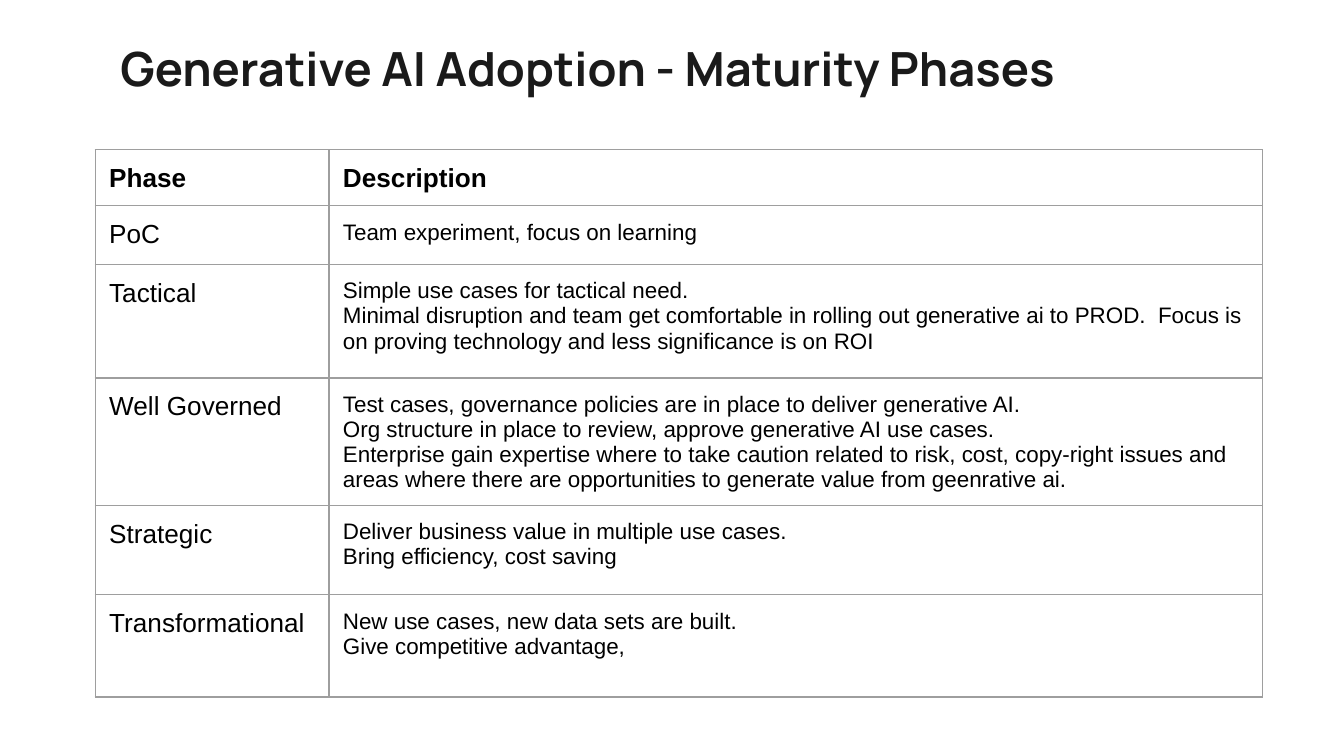
from lxml.etree import SubElement
from pptx import Presentation
from pptx.dml.color import RGBColor
from pptx.enum.text import MSO_ANCHOR, MSO_AUTO_SIZE, PP_ALIGN
from pptx.oxml.ns import qn
from pptx.util import Emu, Pt

EMU_PER_PX = 9525  # 96 px to the inch
INSET = 10
CELL_BOTTOM_INSET = 5  # keeps full rows at their set height
BLACK = "000000"
BORDER_COLOR = "9E9E9E"

TABLE_LEFT, TABLE_TOP = 68, 107
COLUMN_WIDTHS = [167, 667]
ROW_HEIGHTS = [40, 42, 81, 91, 64, 73]
HEADER = ("Phase", "Description")
PHASES = [
    ("PoC", ["Team experiment, focus on learning"]),
    ("Tactical", [
        "Simple use cases for tactical need.",
        "Minimal disruption and team get comfortable in rolling out generative ai to PROD.  "
        "Focus is on proving technology and less significance is on ROI",
    ]),
    ("Well Governed", [
        "Test cases, governance policies are in place to deliver generative AI.",
        "Org structure in place to review, approve generative AI use cases.",
        "Enterprise gain expertise where to take caution related to risk, cost, copy-right "
        "issues and areas where there are opportunities to generate value from geenrative ai.",
    ]),
    ("Strategic", [
        "Deliver business value in multiple use cases.",
        "Bring efficiency, cost saving",
    ]),
    ("Transformational", [
        "New use cases, new data sets are built.",
        "Give competitive advantage,",
    ]),
]


def px(length):
    return Emu(length * EMU_PER_PX)


def rgb(color):
    return RGBColor.from_string(color)


def write(para, text, size=12, font="Arial", color=BLACK, bold=False):
    """Add one formatted run to a paragraph."""
    span = para.add_run()
    span.text = text
    span.font.size = Pt(size)
    span.font.name = font
    span.font.color.rgb = rgb(color)
    span.font.bold = bold


def set_insets(target, bottom=INSET):
    """Set the margins of a text frame or a table cell."""
    target.margin_left = target.margin_right = target.margin_top = px(INSET)
    target.margin_bottom = px(bottom)


def add_title(page, text):
    title = page.shapes.title
    title.left, title.top, title.width, title.height = map(px, (76, 18, 807, 56))
    frame = title.text_frame
    set_insets(frame)
    frame.word_wrap = True
    frame.auto_size = MSO_AUTO_SIZE.NONE
    frame.vertical_anchor = MSO_ANCHOR.TOP
    para = frame.paragraphs[0]
    para.alignment = PP_ALIGN.LEFT
    para.line_spacing = 1.0
    write(para, text, size=25.2, font="Manrope", color="1A1A1A", bold=True)


def set_borders(cell, color, width):
    properties = cell._tc.get_or_add_tcPr()
    for side in ("lnL", "lnR", "lnT", "lnB"):
        line = SubElement(properties, qn(f"a:{side}"), w=str(Pt(width)))
        fill = SubElement(line, qn("a:solidFill"))
        SubElement(fill, qn("a:srgbClr"), val=color)


def fill_cell(cell, lines, **text_format):
    set_insets(cell, bottom=CELL_BOTTOM_INSET)
    cell.vertical_anchor = MSO_ANCHOR.TOP
    set_borders(cell, BORDER_COLOR, 0.75)
    cell.fill.background()
    frame = cell.text_frame
    for index, text in enumerate(lines):
        para = frame.add_paragraph() if index else frame.paragraphs[0]
        write(para, text, **text_format)


def add_phase_table(page):
    table = page.shapes.add_table(
        len(ROW_HEIGHTS), len(COLUMN_WIDTHS), px(TABLE_LEFT), px(TABLE_TOP),
        px(sum(COLUMN_WIDTHS)), px(sum(ROW_HEIGHTS))).table
    table.first_row = table.horz_banding = False
    for column, width in zip(table.columns, COLUMN_WIDTHS):
        column.width = px(width)
    for row, height in zip(table.rows, ROW_HEIGHTS):
        row.height = px(height)
    for column, heading in enumerate(HEADER):
        fill_cell(table.cell(0, column), [heading], size=14, bold=True)
    for row, (phase, description) in enumerate(PHASES, start=1):
        fill_cell(table.cell(row, 0), [phase], size=14)
        fill_cell(table.cell(row, 1), description)


def main():
    deck = Presentation()
    deck.slide_width, deck.slide_height = px(960), px(540)
    page = deck.slides.add_slide(deck.slide_layouts.get_by_name("Title Only"))
    add_title(page, "Generative AI Adoption - Maturity Phases")
    add_phase_table(page)
    deck.save("out.pptx")


if __name__ == "__main__":
    main()
